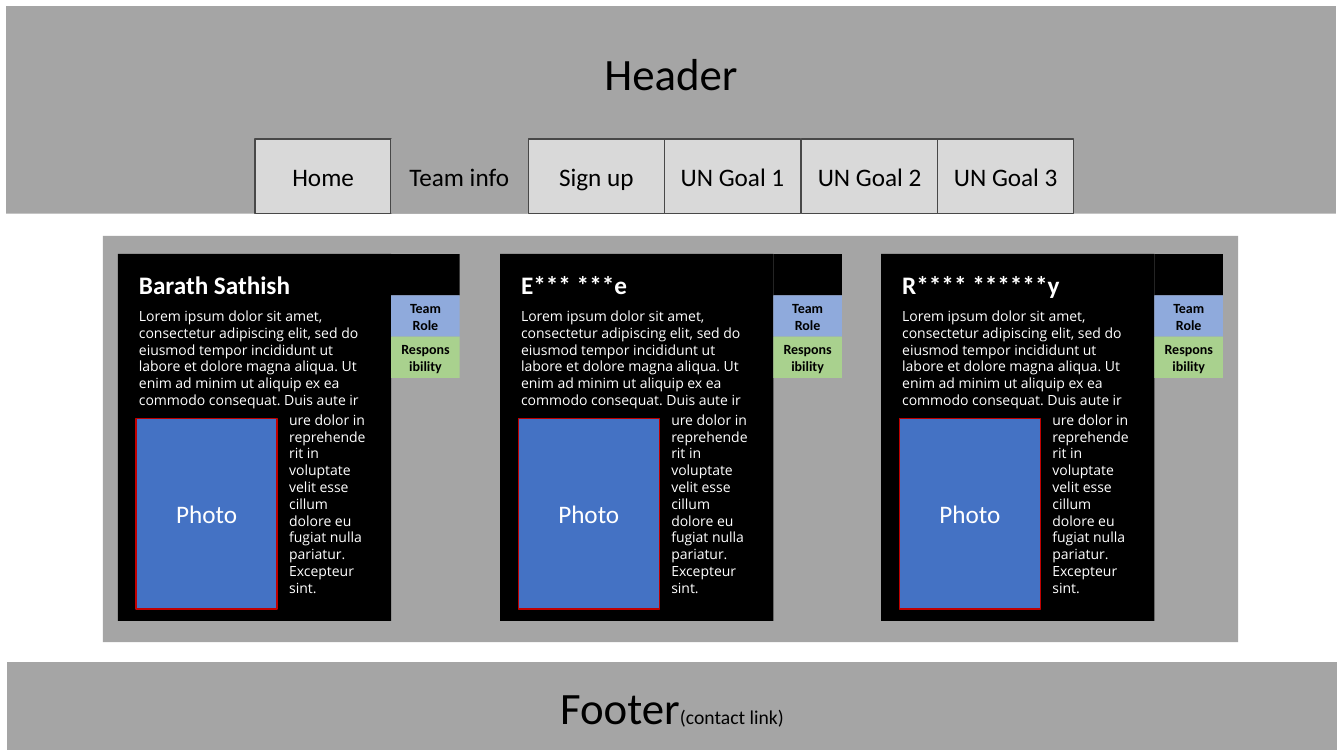
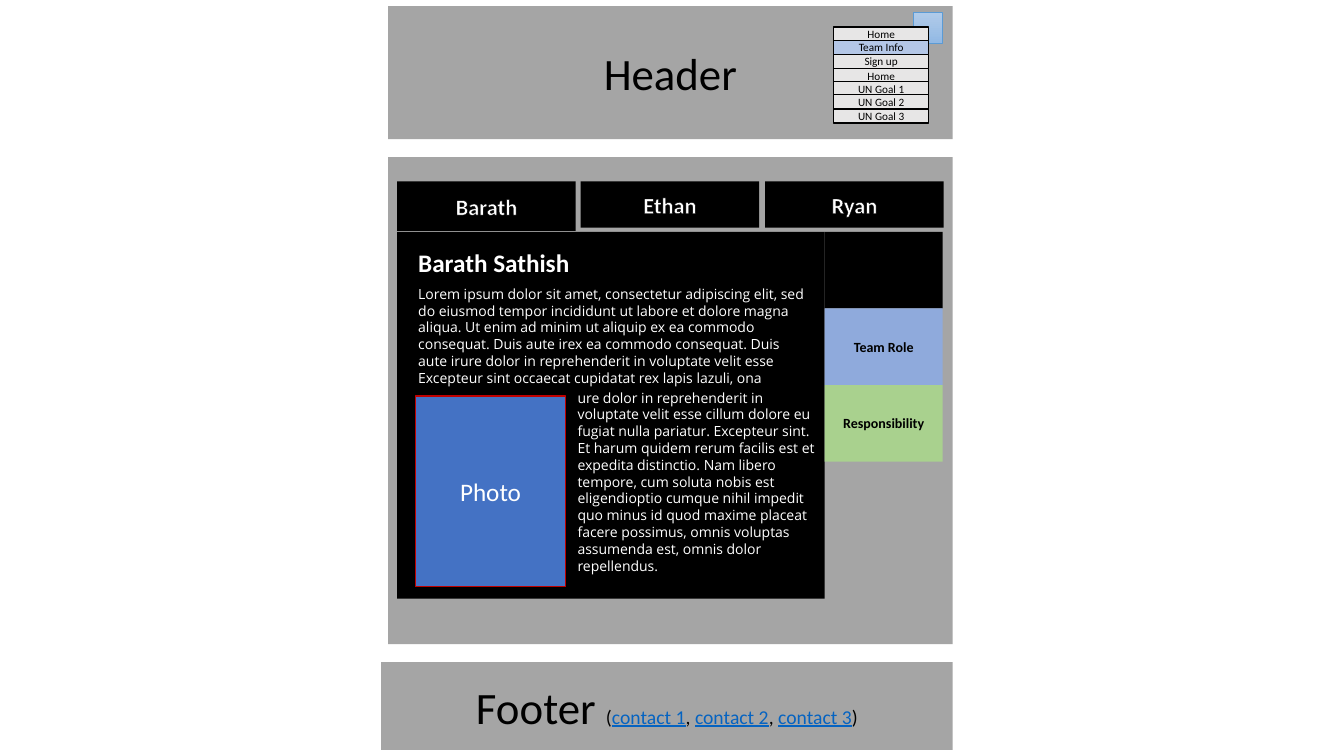
from typing import NamedTuple

from lxml import etree
from pptx import Presentation
from pptx.dml.color import RGBColor
from pptx.enum.shapes import MSO_SHAPE
from pptx.enum.text import MSO_ANCHOR, PP_ALIGN
from pptx.oxml.ns import qn
from pptx.util import Emu, Pt

PX = 9144
RECT = MSO_SHAPE.RECTANGLE
CENTER, MIDDLE = PP_ALIGN.CENTER, MSO_ANCHOR.MIDDLE

BLACK = RGBColor(0x00, 0x00, 0x00)
WHITE = RGBColor(0xFF, 0xFF, 0xFF)
GREY = RGBColor(0xA5, 0xA5, 0xA5)
TAB_GREY = RGBColor(0xD9, 0xD9, 0xD9)
TAB_EDGE = RGBColor(0x48, 0x48, 0x48)
MENU_GREY = RGBColor(0xE7, 0xE6, 0xE6)
MENU_ACTIVE = RGBColor(0xB4, 0xC7, 0xE7)
ROLE_BLUE = RGBColor(0x8F, 0xAA, 0xDC)
DUTY_GREEN = RGBColor(0xA9, 0xD1, 0x8E)
PHOTO_BLUE = RGBColor(0x44, 0x72, 0xC4)
PHOTO_EDGE = RGBColor(0xC0, 0x00, 0x00)
LINK_BLUE = RGBColor(0x05, 0x63, 0xC1)
ICON_EDGE = RGBColor(0x5B, 0x9B, 0xD5)
ICON_LIGHT = RGBColor(0xB1, 0xCB, 0xE9)
ICON_DARK = RGBColor(0x92, 0xB9, 0xE4)

HEADING_FONT = "Calibri"
BODY_FONT = "Open Sans"

NAV = ["Home", "Team info", "Sign up", "UN Goal 1", "UN Goal 2", "UN Goal 3"]
MENU = ["Home", "Team Info", "Sign up", "Home", "UN Goal 1", "UN Goal 2", "UN Goal 3"]
MEMBERS = ["Barath Sathish", "E*** ***e", "R**** ******y"]
TABS = ["Barath", "Ethan", "Ryan"]
CONTACTS = ["contact 1", "contact 2", "contact 3"]

LOREM = (
    "Lorem ipsum dolor sit amet, consectetur adipiscing elit, sed do eiusmod "
    "tempor incididunt ut labore et dolore magna aliqua. Ut enim ad minim ut "
    "aliquip ex ea commodo consequat. Duis aute ir"
)
LOREM_WIDE = LOREM + (
    "ex ea commodo consequat. Duis aute irure dolor in reprehenderit in "
    "voluptate velit esse Excepteur sint occaecat cupidatat rex lapis lazuli, ona"
)
REST = (
    "ure dolor in reprehenderit in voluptate velit esse cillum dolore eu "
    "fugiat nulla pariatur. Excepteur sint."
)
REST_WIDE = REST + (
    " Et harum quidem rerum facilis est et expedita distinctio. Nam libero "
    "tempore, cum soluta nobis est eligendioptio cumque nihil impedit quo minus "
    "id quod maxime placeat facere possimus, omnis voluptas assumenda est, "
    "omnis dolor repellendus."
)


class Run(NamedTuple):
    text: str
    size: int
    color: RGBColor = BLACK
    bold: bool = False
    font: str = HEADING_FONT
    underline: bool = False
    outline: bool = False


class CardLayout(NamedTuple):
    width: int
    intro_width: int
    photo_width: int
    rest_width: int
    tag_width: int
    tag_height: int


NARROW_CARD = CardLayout(271, 250, 140, 100, 68, 41)
WIDE_CARD = CardLayout(424, 406, 149, 255, 117, 76)


def px(*lengths):
    return [Emu(n * PX) for n in lengths]


def spread(start, step, items):
    return [(round(start + i * step), item) for i, item in enumerate(items)]


def outline_text(r):
    rPr = r.font._element if hasattr(r.font, "_element") else r._r.get_or_add_rPr()
    ln = etree.Element(qn("a:ln"), w=str(Pt(0.75)))
    fill = etree.SubElement(ln, qn("a:solidFill"))
    etree.SubElement(fill, qn("a:srgbClr"), val=str(BLACK))
    rPr.insert(0, ln)


def write(tf, runs):
    tf.word_wrap = True
    p = tf.paragraphs[0]
    for run in runs:
        r = p.add_run()
        r.text = run.text
        r.font.name = run.font
        r.font.size = Pt(run.size)
        r.font.bold = run.bold
        r.font.underline = run.underline
        r.font.color.rgb = run.color
        if run.outline:
            outline_text(r)
    return p


def add_rect(s, box, fill, runs=(), edge=None, edge_width=1):
    sp = s.shapes.add_shape(RECT, *px(*box))
    sp.shadow.inherit = False
    sp.fill.solid()
    sp.fill.fore_color.rgb = fill
    if edge is None:
        sp.line.fill.background()
    else:
        sp.line.color.rgb = edge
        sp.line.width = Pt(edge_width)
    if runs:
        sp.text_frame.vertical_anchor = MIDDLE
        write(sp.text_frame, runs).alignment = CENTER
    return sp


def add_text(s, box, run):
    write(s.shapes.add_textbox(*px(*box)).text_frame, [run])


def add_header(s, x, width):
    add_rect(s, (x, 6, width, 132), GREY, [Run("Header", 32)])


def add_footer(s, x, width, runs):
    add_rect(s, (x, 657, width, 87), GREY, runs)


def add_nav(s, active):
    add_rect(s, (6, 138, 1319, 74), GREY)
    for x, label in spread(253, 135.4, NAV):
        on = label == active
        add_rect(s, (x, 138, 135, 74), GREY if on else TAB_GREY,
                 [Run(label, 18)], None if on else TAB_EDGE)


def add_menu(s, active):
    icon = add_rect(s, (906, 12, 29, 31), ICON_LIGHT, edge=ICON_EDGE, edge_width=0.5)
    icon.fill.gradient()
    icon.fill.gradient_angle = 270
    for stop, color in zip(icon.fill.gradient_stops, (ICON_LIGHT, ICON_DARK)):
        stop.color.rgb = color
    add_rect(s, (827, 27, 94, 94), MENU_GREY, edge=GREY, edge_width=0.5)
    for y, label in spread(27, 13.5, MENU):
        add_rect(s, (827, y, 94, 14), MENU_ACTIVE if label == active else MENU_GREY,
                 [Run(label, 8)], BLACK)


def add_card(s, x, y, layout, name, intro, rest):
    add_rect(s, (x, y, layout.width, 364), BLACK)
    add_text(s, (x + 11, y + 10, 193, 40), Run(name, 18, WHITE, True))
    add_text(s, (x + 11, y + 48, layout.intro_width, 111),
             Run(intro, 10, WHITE, font=BODY_FONT))
    tags = [("", BLACK), ("Team Role", ROLE_BLUE), ("Responsibility", DUTY_GREEN)]
    for tag_y, (label, fill) in spread(y, layout.tag_height, tags):
        add_rect(s, (x + layout.width, tag_y, layout.tag_width, layout.tag_height),
                 fill, [Run(label, 10, bold=True)] if label else ())
    add_rect(s, (x + 18, y + 163, layout.photo_width, 189), PHOTO_BLUE,
             [Run("Photo", 18, WHITE)], PHOTO_EDGE)
    add_text(s, (x + 20 + layout.photo_width, y + 151, layout.rest_width, 195),
             Run(rest, 10, WHITE, font=BODY_FONT))


def add_tabs(s):
    for x, label in spread(394, 182.5, TABS):
        height = 49 if label == TABS[0] else 46
        add_rect(s, (x, 180, 177, height), BLACK,
                 [Run(label, 16, WHITE, True, outline=True)])


def contact_runs():
    runs = [Run("Footer ", 32), Run("(", 14)]
    for i, contact in enumerate(CONTACTS):
        if i:
            runs.append(Run(", ", 14))
        runs.append(Run(contact, 14, LINK_BLUE, underline=True))
    return runs + [Run(")", 14)]


def build_desktop(s):
    add_header(s, 6, 1319)
    add_nav(s, "Team info")
    add_footer(s, 7, 1319, [Run("Footer", 32), Run("(contact link)", 14)])
    add_rect(s, (102, 234, 1126, 403), GREY)
    for x, name in spread(117, 378.6, MEMBERS):
        add_card(s, x, 252, NARROW_CARD, name, LOREM, REST)


def build_mobile(s):
    add_header(s, 385, 560)
    add_footer(s, 378, 567, contact_runs())
    add_rect(s, (385, 156, 560, 483), GREY)
    add_card(s, 394, 230, WIDE_CARD, MEMBERS[0], LOREM_WIDE, REST_WIDE)
    add_tabs(s)
    add_menu(s, "Team Info")


def main():
    prs = Presentation()
    prs.slide_width, prs.slide_height = px(1333, 750)
    for build in (build_desktop, build_mobile):
        build(prs.slides.add_slide(prs.slide_layouts[6]))
    prs.save("out.pptx")


if __name__ == "__main__":
    main()
